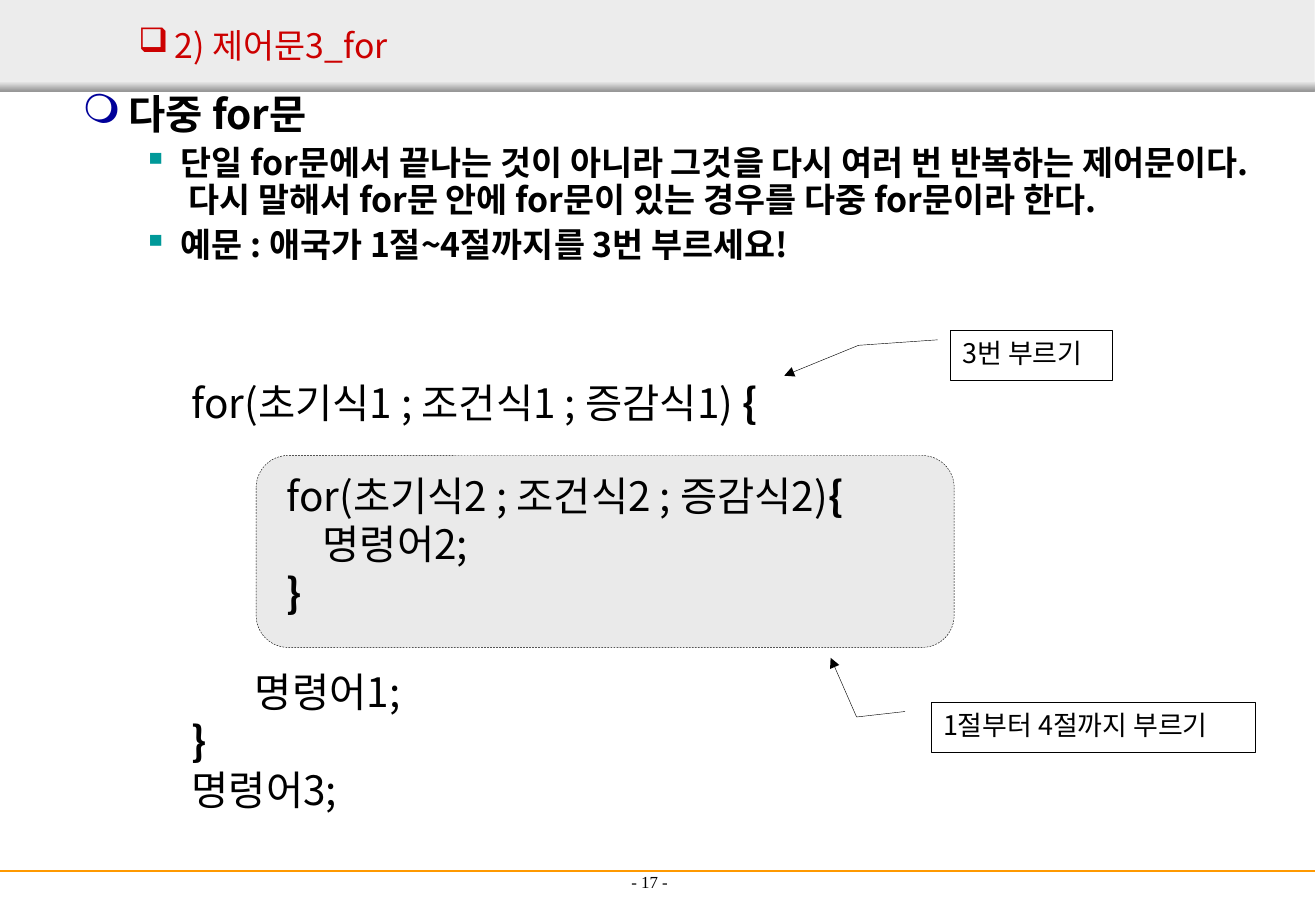
from lxml.etree import SubElement
from pptx import Presentation
from pptx.dml.color import RGBColor
from pptx.enum.dml import MSO_LINE
from pptx.enum.shapes import MSO_CONNECTOR, MSO_SHAPE
from pptx.enum.text import MSO_ANCHOR, MSO_AUTO_SIZE, PP_ALIGN
from pptx.oxml.ns import qn
from pptx.util import Inches, Pt

SANS = "Noto Sans CJK KR"
SERIF = "Times New Roman"
COLORS = {
    "black": "000000", "red": "CC0000", "navy": "000099", "teal": "009999",
    "band": "ECECEC", "shade": "979797", "box": "EAEAEA", "rule": "FF9900",
}


def color(name):
    return RGBColor.from_string(COLORS[name])


def place(shape, left, top, width, height):
    shape.left, shape.top = Inches(left), Inches(top)
    shape.width, shape.height = Inches(width), Inches(height)


def set_bullet(para, char, tint, margin, indent):
    props = para._p.get_or_add_pPr()
    props.set("marL", str(Inches(margin)))
    props.set("indent", str(Inches(indent)))
    fill = SubElement(props, qn("a:buClr"))
    SubElement(fill, qn("a:srgbClr"), val=COLORS[tint])
    SubElement(props, qn("a:buChar"), char=char)


def write(frame, text, first=False, size=24, font=SANS, tint="black", bold=False,
          align=PP_ALIGN.LEFT, before=0, spacing=None, bullet=None, brace=False):
    """Write one paragraph; brace sets a final bold brace."""
    para = frame.paragraphs[0] if first else frame.add_paragraph()
    para.alignment = align
    para.space_before = Pt(before)
    if spacing:
        para.line_spacing = spacing
    if bullet:
        set_bullet(para, *bullet)
    parts = [(text, bold), ("{", True)] if brace else [(text, bold)]
    for part, heavy in parts:
        run = para.add_run()
        run.text = part
        run.font.size, run.font.name, run.font.bold = Pt(size), font, heavy
        run.font.color.rgb = color(tint)
        SubElement(run._r.get_or_add_rPr(), qn("a:ea"), typeface=font)


def add_text(slide, *area):
    frame = slide.shapes.add_textbox(*map(Inches, area)).text_frame
    frame.word_wrap = True
    return frame


def add_box(slide, kind, area, fill=None, line=None):
    shape = slide.shapes.add_shape(kind, *map(Inches, area))
    shape.shadow.inherit = False
    if fill:
        shape.fill.solid()
        shape.fill.fore_color.rgb = color(fill)
    else:
        shape.fill.background()
    if line:
        shape.line.color.rgb = color(line)
        shape.line.width = Pt(0.25)
    else:
        shape.line.fill.background()
    shape.text_frame.vertical_anchor = MSO_ANCHOR.TOP
    return shape


def add_callout(slide, text, area, points):
    shape = add_box(slide, MSO_SHAPE.LINE_CALLOUT_2, area, line="black")
    for index, value in enumerate(points):
        shape.adjustments[index] = value
    SubElement(shape.line._get_or_add_ln(), qn("a:tailEnd"), type="triangle")
    write(shape.text_frame, text, first=True, size=16)


def add_frame(slide):
    # Header band with a shaded lower edge
    add_box(slide, MSO_SHAPE.RECTANGLE, (0, 0, 10.83, 0.75), fill="band")
    edge = add_box(slide, MSO_SHAPE.RECTANGLE, (0, 0.67, 10.83, 0.08))
    edge.fill.gradient()
    edge.fill.gradient_angle = 270
    for stop, name, spot in zip(edge.fill.gradient_stops, ("band", "shade"), (0, 1)):
        stop.color.rgb = color(name)
        stop.position = spot

    # Footer rule and page number
    rule = slide.shapes.add_connector(
        MSO_CONNECTOR.STRAIGHT, Inches(0), Inches(7.17), Inches(10.83), Inches(7.17))
    rule.line.color.rgb = color("rule")
    rule.line.width = Pt(1.5)
    SubElement(rule._element.spPr, qn("a:effectLst"))
    page = add_text(slide, 3.69, 6.89, 3.32, 0.5)
    page.vertical_anchor = MSO_ANCHOR.BOTTOM
    write(page, "- 17 -", first=True, size=10, font=SERIF, align=PP_ALIGN.CENTER)


def add_title(slide, text):
    title = slide.shapes.title
    place(title, 0.54, 0.14, 9.75, 0.46)
    # Bring the title in front of the band
    slide.shapes._spTree.append(title._element)
    frame = title.text_frame
    frame.auto_size = MSO_AUTO_SIZE.NONE
    frame.vertical_anchor = MSO_ANCHOR.MIDDLE
    write(frame, text, first=True, size=20, tint="red",
          bullet=("❑", "red", 0.8, -0.3))


def add_body(slide):
    frame = add_text(slide, 0.58, 0.73, 9.73, 1.94)
    write(frame, "다중 for문", first=True, bold=True, spacing=0.9,
          bullet=("❍", "navy", 0.38, -0.38))
    for text in (
        "단일 for문에서 끝나는 것이 아니라 그것을 다시 여러 번 반복하는 제어문이다. "
        "다시 말해서 for문 안에 for문이 있는 경우를 다중 for문이라 한다.",
        "예문 : 애국가 1절~4절까지를 3번 부르세요!",
    ):
        write(frame, text, size=20, bold=True, before=5, spacing=0.9,
              bullet=("▪", "teal", 0.81, -0.31))


def add_code(slide):
    # Outer loop
    outer = add_text(slide, 1.48, 3.06, 7.68, 3.7)
    write(outer, "for(초기식1 ; 조건식1 ; 증감식1) ", first=True, brace=True)
    write(outer, "       명령어1;", before=143)
    write(outer, "}", bold=True)
    write(outer, "명령어3;")

    # Inner loop
    box = add_box(slide, MSO_SHAPE.ROUNDED_RECTANGLE, (2.11, 3.75, 5.75, 1.58),
                  fill="box", line="black")
    box.line.dash_style = MSO_LINE.DASH
    inner = box.text_frame
    inner.word_wrap = False
    write(inner, " for(초기식2 ; 조건식2 ; 증감식2)", first=True, brace=True)
    write(inner, "     명령어2;")
    write(inner, " }", bold=True)


def main():
    deck = Presentation()
    deck.slide_width, deck.slide_height = Inches(10.84), Inches(7.5)
    slide = deck.slides.add_slide(deck.slide_layouts[5])
    add_frame(slide)
    add_title(slide, "2) 제어문3_for")
    add_body(slide)
    add_code(slide)

    # Notes on the two loops
    add_callout(slide, "1절부터 4절까지 부르기", (7.67, 5.78, 2.67, 0.41),
                (0.19, -0.08, 0.3, -0.23, -0.89, -0.31))
    add_callout(slide, "3번 부르기", (7.83, 2.72, 1.33, 0.41),
                (0.19, -0.08, 0.3, -0.57, 0.91, -1.03))
    deck.save("out.pptx")


if __name__ == "__main__":
    main()
